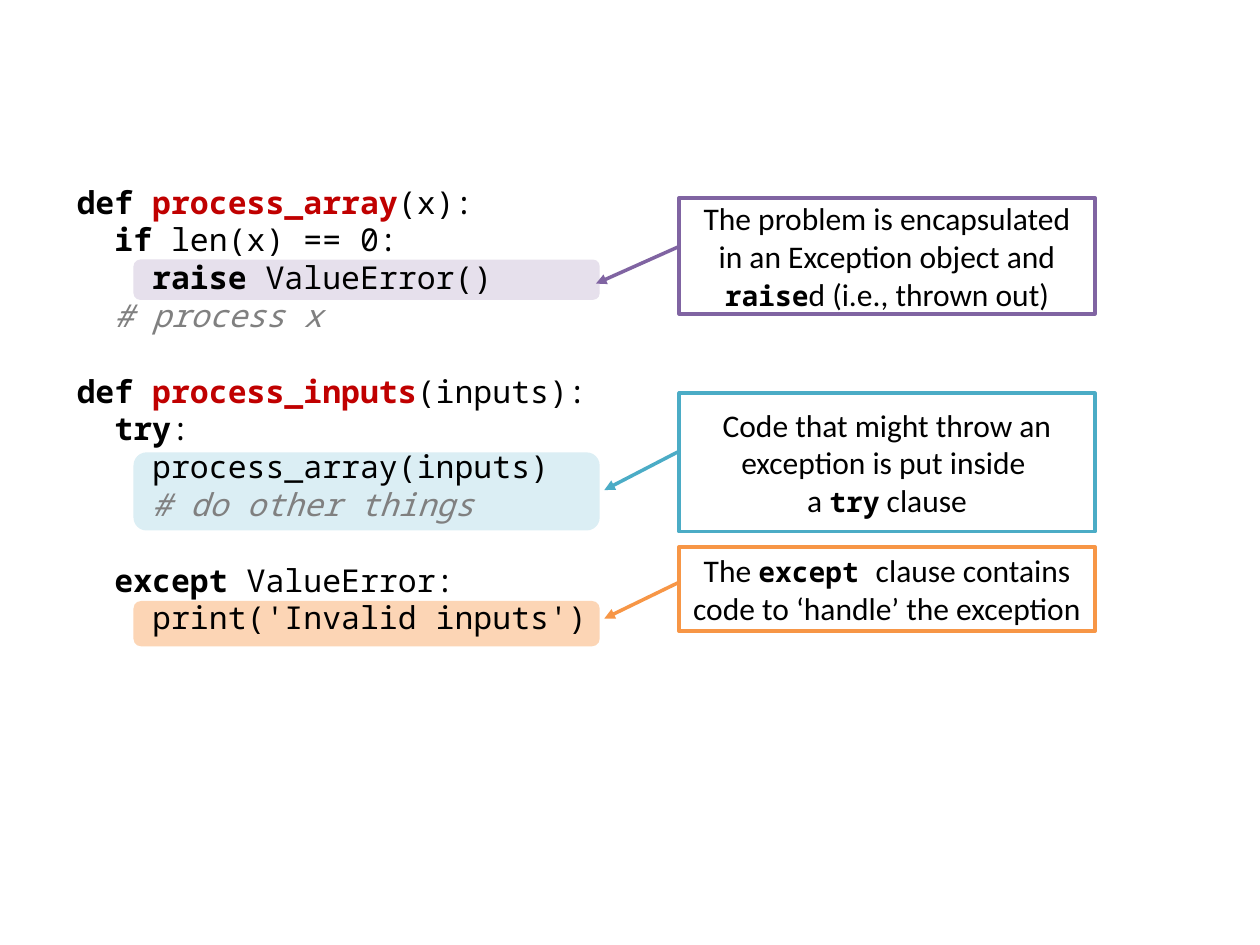
"""Build a slide that explains raising and handling exceptions in Python."""
from lxml.etree import SubElement
from pptx import Presentation
from pptx.dml.color import RGBColor
from pptx.enum.shapes import MSO_SHAPE
from pptx.enum.text import MSO_ANCHOR, MSO_AUTO_SIZE, PP_ALIGN
from pptx.oxml.ns import qn
from pptx.util import Inches, Pt

BLACK = RGBColor(0x00, 0x00, 0x00)
WHITE = RGBColor(0xFF, 0xFF, 0xFF)
RED = RGBColor(0xC0, 0x00, 0x00)
GRAY = RGBColor(0x80, 0x80, 0x80)
PURPLE = RGBColor(0x80, 0x64, 0xA2)
TEAL = RGBColor(0x4B, 0xAC, 0xC6)
ORANGE = RGBColor(0xF7, 0x96, 0x46)
PALE_PURPLE = RGBColor(0xE6, 0xE0, 0xEC)
PALE_TEAL = RGBColor(0xDB, 0xEE, 0xF4)
PALE_ORANGE = RGBColor(0xFC, 0xD5, 0xB5)

CODE_FONT = "Noto Sans Mono"
BODY_FONT = "Calibri"
CODE_STYLES = {
    "plain": (False, False, BLACK),
    "keyword": (True, False, BLACK),
    "name": (True, False, RED),
    "comment": (False, True, GRAY),
}


def add_span(para, text, font_name, size, bold=False, italic=False, color=BLACK):
    span = para.add_run()
    span.text = text
    span.font.name = font_name
    span.font.size = Pt(size)
    span.font.bold = bold
    span.font.italic = italic
    span.font.color.rgb = color


deck = Presentation()
deck.slide_width = Inches(10)
deck.slide_height = Inches(7.5)
page = deck.slides.add_slide(deck.slide_layouts[6])

highlights = [
    (2.06, 0.32, PALE_PURPLE),
    (4.77, 0.36, PALE_ORANGE),
    (3.59, 0.62, PALE_TEAL),
]
for top, height, color in highlights:
    highlight = page.shapes.add_shape(
        MSO_SHAPE.ROUNDED_RECTANGLE, Inches(1.06), Inches(top), Inches(3.7), Inches(height)
    )
    highlight.shadow.inherit = False
    highlight.fill.solid()
    highlight.fill.fore_color.rgb = color
    highlight.line.fill.background()

callouts = [
    (3.12, 1.1, TEAL, 0.7, -0.18,
     "Code that might throw an exception is put inside \va ", "try", " clause"),
    (4.34, 0.67, ORANGE, 0.85, -0.18,
     "The ", "except ", "clause contains code to ‘handle’ the exception"),
    (1.57, 0.92, PURPLE, 0.74, -0.2,
     "The problem is encapsulated in an Exception object and ", "raise",
     "d (i.e., thrown out)"),
]
for top, height, color, tip_y, tip_x, before, keyword, after in callouts:
    callout = page.shapes.add_shape(
        MSO_SHAPE.LINE_CALLOUT_1, Inches(5.39), Inches(top), Inches(3.3), Inches(height)
    )
    for index, value in enumerate((0.42, 0, tip_y, tip_x)):
        callout.adjustments[index] = value
    callout.shadow.inherit = False
    callout.fill.solid()
    callout.fill.fore_color.rgb = WHITE
    callout.line.color.rgb = color
    callout.line.width = Pt(2)
    SubElement(callout.line._get_or_add_ln(), qn("a:tailEnd"), type="triangle")
    callout.text_frame.word_wrap = True
    callout.text_frame.vertical_anchor = MSO_ANCHOR.MIDDLE
    para = callout.text_frame.paragraphs[0]
    para.alignment = PP_ALIGN.CENTER
    first, *rest = before.split("\v")
    add_span(para, first, BODY_FONT, 18)
    for line in rest:
        para.add_line_break()
        add_span(para, line, BODY_FONT, 18)
    add_span(para, keyword, CODE_FONT, 16, bold=True)
    add_span(para, after, BODY_FONT, 18)

code_lines = [
    (0, [("def ", "keyword"), ("process_array", "name"), ("(x):", "plain")]),
    (0, [("  if ", "keyword"), ("len(x) == 0:", "plain")]),
    (0, [("    raise ", "keyword"), ("ValueError()", "plain")]),
    (0, [("  # process x", "comment")]),
    (21.6, [("def ", "keyword"), ("process_inputs", "name"), ("(inputs):", "plain")]),
    (0, [("  try", "keyword"), (":", "plain")]),
    (0, [("    process_array(inputs)", "plain")]),
    (0, [("    # do other things", "comment")]),
    (21.6, [("  except ", "keyword"), ("ValueError:", "plain")]),
    (0, [("    print('Invalid inputs')", "plain")]),
]
code_box = page.shapes.add_textbox(Inches(0.51), Inches(1.4), Inches(4.33), Inches(3.74))
code_box.text_frame.word_wrap = True
code_box.text_frame.auto_size = MSO_AUTO_SIZE.SHAPE_TO_FIT_TEXT
for index, (gap, spans) in enumerate(code_lines):
    para = code_box.text_frame.add_paragraph() if index else code_box.text_frame.paragraphs[0]
    if gap:
        para.space_before = Pt(gap)
    for text, style in spans:
        bold, italic, color = CODE_STYLES[style]
        add_span(para, text, CODE_FONT, 18, bold, italic, color)

deck.save("out.pptx")
